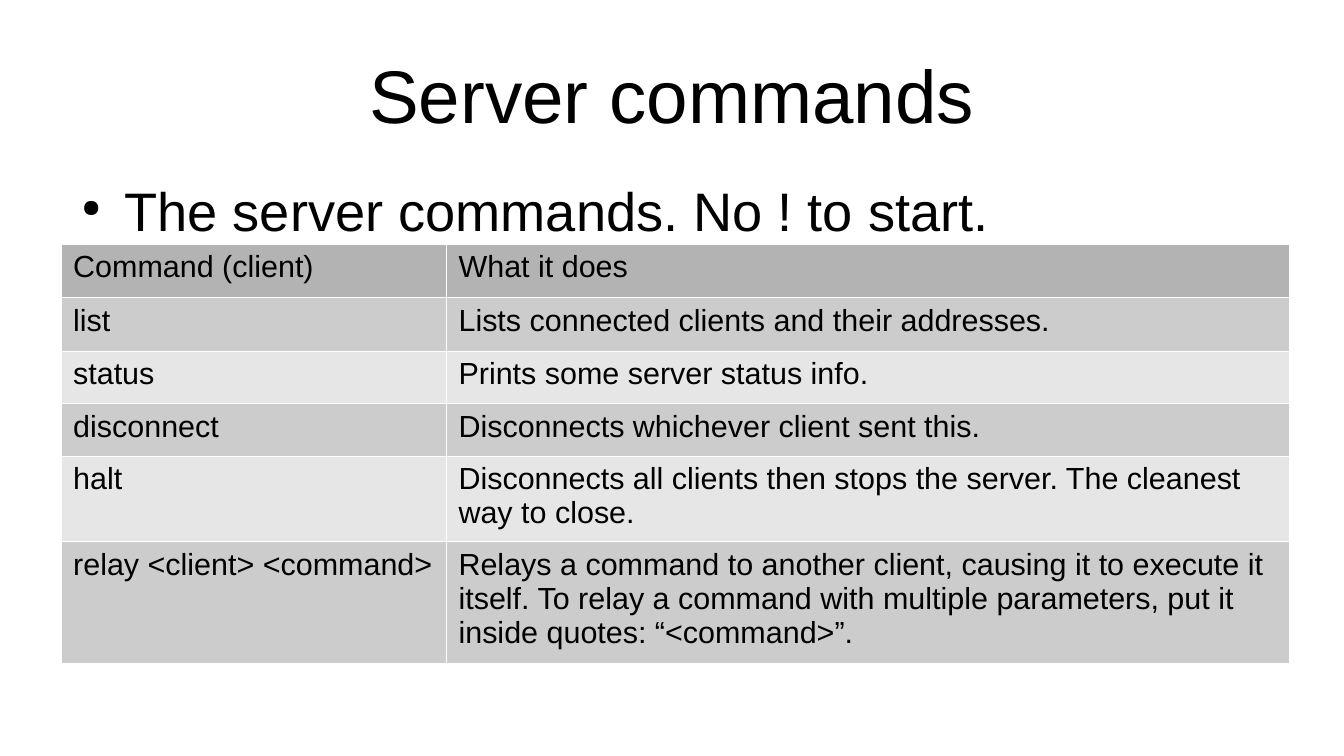
from lxml import etree
from pptx import Presentation
from pptx.dml.color import RGBColor
from pptx.enum.text import MSO_ANCHOR, PP_ALIGN
from pptx.oxml.ns import qn
from pptx.util import Inches, Pt

CENTER = PP_ALIGN.CENTER
MIDDLE, TOP = MSO_ANCHOR.MIDDLE, MSO_ANCHOR.TOP
HEADER_FILL, ODD_FILL, EVEN_FILL = "B3B3B3", "CCCCCC", "E6E6E6"
BORDER_SIDES = ("a:lnL", "a:lnR", "a:lnT", "a:lnB")

COMMANDS = [
    ("Command (client)", "What it does"),
    ("list", "Lists connected clients and their addresses."),
    ("status", "Prints some server status info."),
    ("disconnect", "Disconnects whichever client sent this."),
    ("halt", "Disconnects all clients then stops the server. The cleanest way to close."),
    ("relay <client> <command>",
     "Relays a command to another client, causing it to execute it itself. "
     "To relay a command with multiple parameters, put it inside quotes: “<command>”."),
]
COLUMN_WIDTHS = (3.16, 6.91)
ROW_HEIGHTS = (0.44, 0.44, 0.43, 0.43, 0.65, 0.93)


def color(hex_value):
    return RGBColor.from_string(hex_value)


def write(frame, text, size):
    frame.text = text
    para = frame.paragraphs[0]
    font_format = {"name": "Arial", "size": Pt(size), "bold": False}
    for name, value in font_format.items():
        setattr(para.runs[0].font, name, value)
    para.runs[0].font.color.rgb = color("000000")
    return para


deck = Presentation()
deck.slide_width, deck.slide_height = Inches(11.02), Inches(6.2)
page = deck.slides.add_slide(deck.slide_layouts[5])

# Title and bullet line
title = page.shapes.title
title.left, title.top = Inches(0.55), Inches(0.25)
title.width, title.height = Inches(9.92), Inches(1.04)
body = page.shapes.add_textbox(Inches(0.55), Inches(1.45), Inches(9.92), Inches(0.91))
for box, anchor in ((title, MIDDLE), (body, TOP)):
    frame_format = {"margin_left": 0, "margin_right": 0, "margin_top": 0,
                    "margin_bottom": 0, "word_wrap": True, "vertical_anchor": anchor}
    for name, value in frame_format.items():
        setattr(box.text_frame, name, value)
write(title.text_frame, "Server commands", 44).alignment = CENTER
bullet_para = write(body.text_frame, "The server commands. No ! to start.", 32)
properties = bullet_para._p.get_or_add_pPr()
properties.set("marL", str(Inches(0.47)))
properties.set("indent", str(Inches(-0.35)))
bullet_color = etree.SubElement(properties, qn("a:buClr"))
etree.SubElement(bullet_color, qn("a:srgbClr"), val="000000")
etree.SubElement(properties, qn("a:buSzPct"), val="45000")
etree.SubElement(properties, qn("a:buChar"), char="●")

# Command table
table = page.shapes.add_table(
    len(COMMANDS), len(COLUMN_WIDTHS), Inches(0.5), Inches(2),
    Inches(sum(COLUMN_WIDTHS)), Inches(sum(ROW_HEIGHTS))).table
for column, width in zip(table.columns, COLUMN_WIDTHS):
    column.width = Inches(width)
for row, height in zip(table.rows, ROW_HEIGHTS):
    row.height = Inches(height)
for row_index, texts in enumerate(COMMANDS):
    if row_index == 0:
        fill = HEADER_FILL
    else:
        fill = ODD_FILL if row_index % 2 else EVEN_FILL
    for column_index, text in enumerate(texts):
        cell = table.cell(row_index, column_index)
        write(cell.text_frame, text, 18)
        cell_properties = cell._tc.get_or_add_tcPr()
        for side in BORDER_SIDES:
            line = etree.SubElement(cell_properties, qn(side), w=str(Pt(0.06)))
            line_fill = etree.SubElement(line, qn("a:solidFill"))
            etree.SubElement(line_fill, qn("a:srgbClr"), val="FFFFFF")
        cell.fill.solid()
        cell.fill.fore_color.rgb = color(fill)

deck.save("out.pptx")
